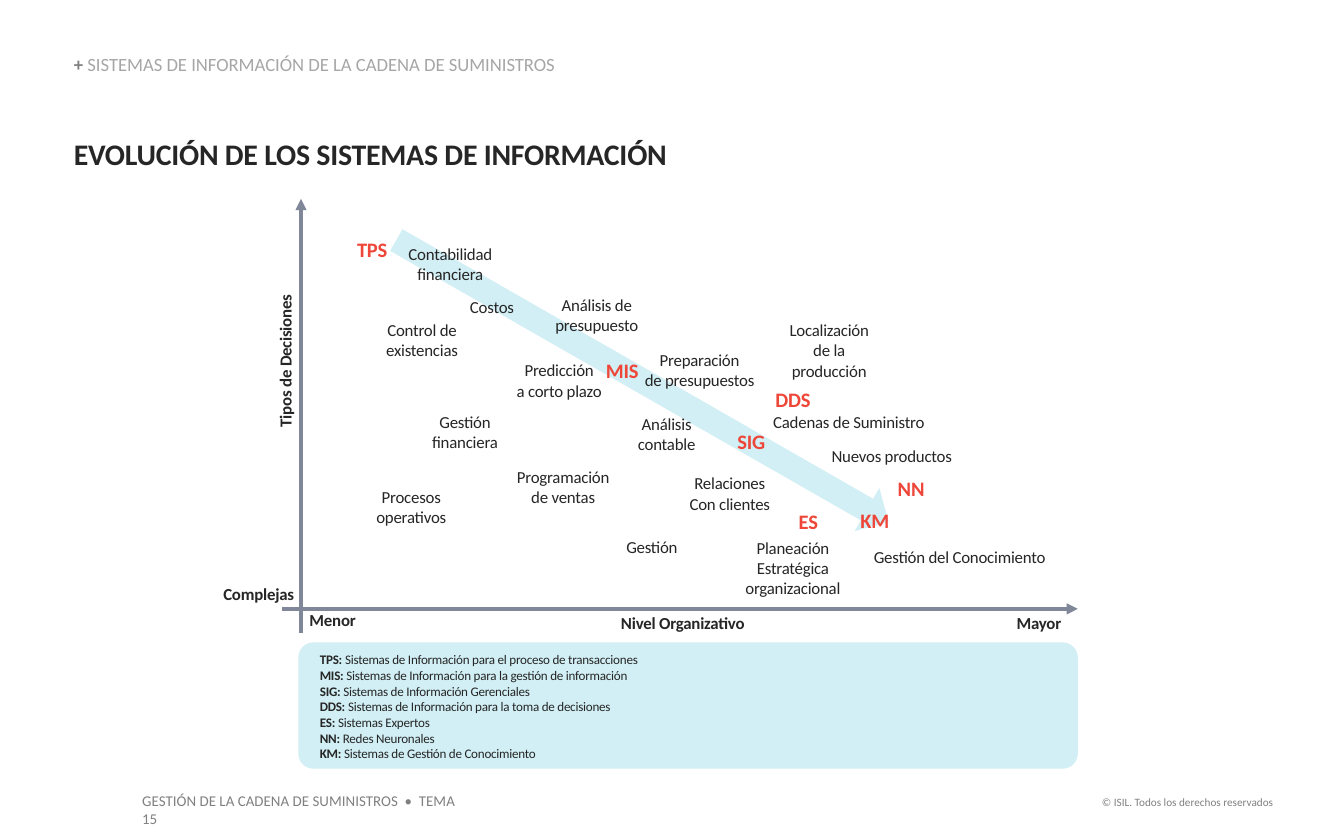
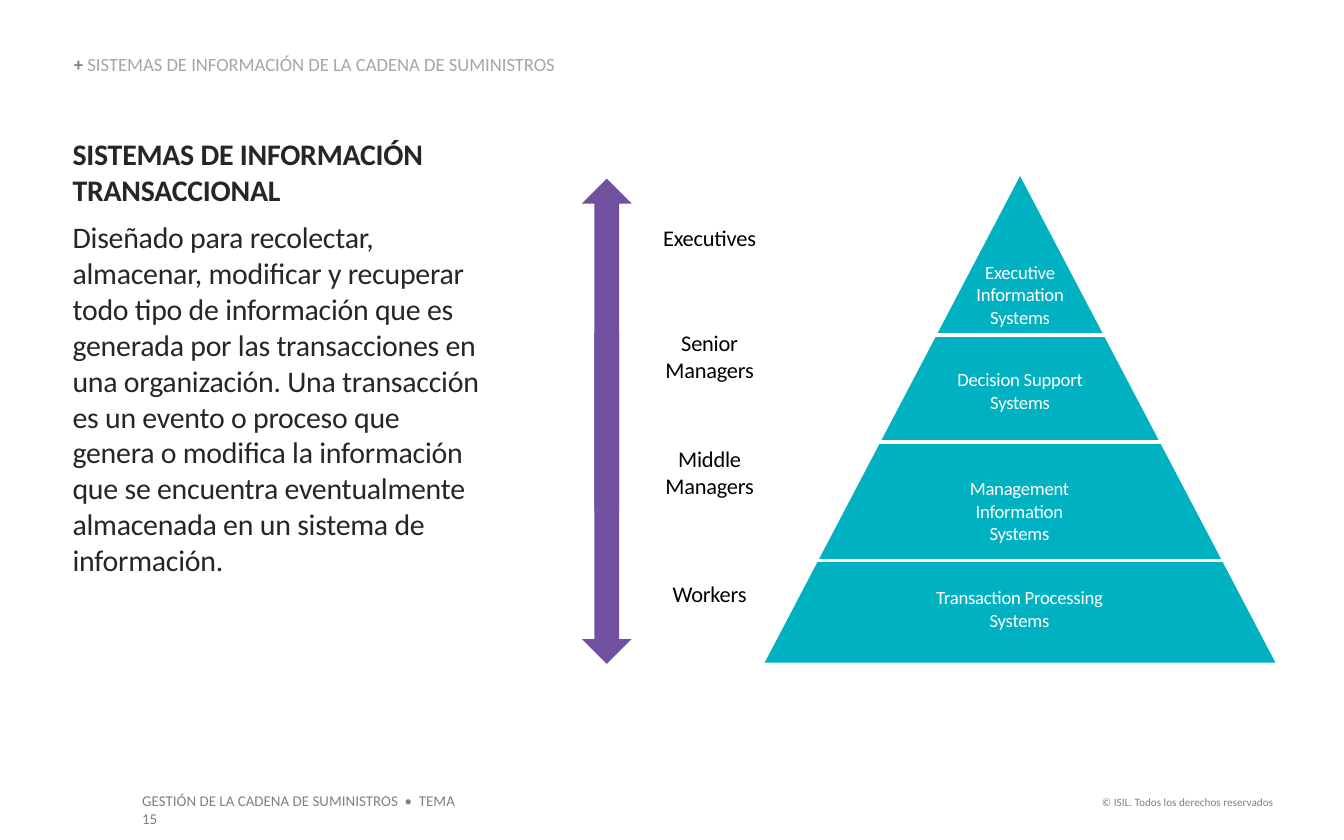
"""Build two slides on the information systems of the supply chain."""
from typing import NamedTuple, Optional

from lxml import etree
from pptx import Presentation
from pptx import util as u
from pptx.dml.color import RGBColor
from pptx.enum import shapes, text
from pptx.oxml import ns

PX = 9144
FONT = "Calibri"
INK = RGBColor(0x26, 0x26, 0x26)
GRAY = RGBColor(0x80, 0x80, 0x80)
LIGHT_GRAY = RGBColor(0xA6, 0xA6, 0xA6)
RED = RGBColor(0xEE, 0x46, 0x39)
PALE_BLUE = RGBColor(0xD1, 0xEF, 0xF4)
SLATE = RGBColor(0x80, 0x87, 0x99)
PURPLE = RGBColor(0x71, 0x50, 0xA0)
TEAL = RGBColor(0x00, 0xB1, 0xC2)
WHITE = RGBColor(0xFF, 0xFF, 0xFF)
BLACK = RGBColor(0, 0, 0)

LEFT, CENTER, RIGHT = text.PP_ALIGN.LEFT, text.PP_ALIGN.CENTER, text.PP_ALIGN.RIGHT
TOP, BOTTOM = text.MSO_ANCHOR.TOP, text.MSO_ANCHOR.BOTTOM
SHAPE = shapes.MSO_SHAPE


class Box(NamedTuple):
    x: int
    y: int
    w: int
    h: int


class Label(NamedTuple):
    text: str
    x: int
    y: int
    w: int = 82
    lines: int = 1


class Line(NamedTuple):
    x1: int
    y1: int
    x2: int
    y2: int


TASKS = [
    Label("Contabilidad\nfinanciera", 294, 181),
    Label("Control de\nexistencias", 273, 238),
    Label("Gestión\nfinanciera", 305, 306),
    Label("Procesos\noperativos", 265, 362),
    Label("Programación\nde ventas", 378, 347),
    Label("Gestión", 444, 399),
    Label("Localización\nde la\nproducción", 576, 238),
    Label("Predicción\na corto plazo", 375, 268),
    Label("Análisis de\npresupuesto", 403, 219),
    Label("Costos", 325, 221),
    Label("Análisis\ncontable", 455, 308),
    Label("Preparación\nde presupuestos", 462, 260, 117),
    Label("Cadenas de Suministro", 573, 306, 117),
    Label("Nuevos productos", 605, 332, 117),
    Label("Gestión del Conocimiento", 626, 407, 176),
    Label("Planeación\nEstratégica\norganizacional", 502, 400, 176),
    Label("Relaciones\nCon clientes", 455, 352, 176),
]
SYSTEMS = [
    Label("ES", 590, 379, 23),
    Label("KM", 634, 378, 34),
    Label("NN", 661, 354, 34),
    Label("DDS", 573, 288, 34),
    Label("SIG", 542, 319, 34),
    Label("MIS", 446, 266, 34),
    Label("TPS", 260, 176, 34),
]
AXIS_LABELS = [
    Label("Complejas", 154, 434, 77),
    Label("Menor", 209, 454, 77),
    Label("Nivel Organizativo", 446, 456, 124),
    Label("Mayor", 711, 456, 124),
]
AXES = [Line(224, 148, 224, 471), Line(802, 453, 210, 453)]
LEGEND = "\n".join([
    "TPS: |Sistemas de Información para el proceso de transacciones",
    "MIS: |Sistemas de Información para la gestión de información",
    "SIG: |Sistemas de Información Gerenciales",
    "DDS: |Sistemas de Información para la toma de decisiones",
    "ES: |Sistemas Expertos",
    "NN: |Redes Neuronales",
    "KM: |Sistemas de Gestión de Conocimiento",
])
LEVELS = [
    Label("Executive\nInformation\nSystems", 718, 194, 82, 3),
    Label("Decision Support Systems", 711, 274, 96, 2),
    Label("Management Information\nSystems", 688, 355, 141, 3),
    Label("Transaction Processing Systems", 688, 436, 141, 2),
]
ROLES = [
    Label("Executives", 487, 167),
    Label("Senior\nManagers", 487, 245),
    Label("Middle\nManagers", 487, 331),
    Label("Workers", 487, 432),
]
DIVIDERS = [Line(680, 249, 852, 249), Line(646, 329, 885, 329), Line(594, 417, 949, 417)]
DESCRIPTION = (
    "Diseñado para recolectar, almacenar, modificar y recuperar todo tipo de información "
    "que es generada por las transacciones en una organización. Una transacción es un evento "
    "o proceso que genera o modifica la información que se encuentra eventualmente "
    "almacenada en un sistema de información."
)


def emu(box) -> list:
    return [v * PX for v in box]


def write(sp, content: str, *, size: int, color: RGBColor = INK, bold: bool = False,
          align=LEFT, anchor=TOP, spacing: float = 1.0, tracking: int = -10,
          inset: tuple = (0, 0), lead_color: Optional[RGBColor] = None) -> None:
    """Fill a shape with one paragraph a line; text before a bar is a bold lead."""
    tf = sp.text_frame
    tf.word_wrap = True
    tf.auto_size = text.MSO_AUTO_SIZE.SHAPE_TO_FIT_TEXT
    tf.vertical_anchor = anchor
    tf.margin_left = tf.margin_right = inset[0] * PX
    tf.margin_top = tf.margin_bottom = inset[1] * PX
    for i, line in enumerate(content.split("\n")):
        p = tf.add_paragraph() if i else tf.paragraphs[0]
        pPr = p._p.get_or_add_pPr()
        if sp.is_placeholder:
            pPr.set("marL", "0")
            pPr.set("indent", "0")
            etree.SubElement(pPr, ns.qn("a:buNone"))
        p.alignment = align
        p.line_spacing = spacing
        p.space_before = p.space_after = u.Pt(0)
        lead, _, rest = line.rpartition("|")
        for part, strong, tint in ((lead, True, lead_color or color), (rest, bold, color)):
            if part:
                r = p.add_run()
                r.text = part
                r.font.name = FONT
                r.font.size = u.Pt(size)
                r.font.bold = strong
                r.font.color.rgb = tint
                r._r.get_or_add_rPr().set("spc", str(tracking))


def add_text(s, content: str, box: Box, **fmt):
    sp = s.shapes.add_textbox(*emu(box))
    write(sp, content, **fmt)
    return sp


def add_labels(s, labels: list, *, size: int, line_height: int, **fmt) -> None:
    for label in labels:
        lines = max(label.lines, label.text.count("\n") + 1)
        box = Box(label.x, label.y, label.w, lines * line_height)
        add_text(s, label.text, box, size=size, align=CENTER, **fmt)


def fill_placeholder(sp, content: str, box: Box, **fmt) -> None:
    sp.left, sp.top, sp.width, sp.height = emu(box)
    write(sp, content, **fmt)


def add_solid(s, kind, box: Box, color: RGBColor, rotation: float = 0):
    sp = s.shapes.add_shape(kind, *emu(box))
    sp.shadow.inherit = False
    sp.fill.solid()
    sp.fill.fore_color.rgb = color
    sp.line.fill.background()
    sp.rotation = rotation
    return sp


def add_line(s, line: Line, color: RGBColor, arrow: bool = False) -> None:
    c = s.shapes.add_connector(shapes.MSO_CONNECTOR.STRAIGHT, *emu(line))
    c.line.color.rgb = color
    c.line.width = u.Pt(2)
    if arrow:
        etree.SubElement(c.line._get_or_add_ln(), ns.qn("a:headEnd"), type="triangle")
    etree.SubElement(c._element.spPr, ns.qn("a:effectLst"))


def new_slide(prs, title: str, title_box: Box):
    s = prs.slides.add_slide(prs.slide_layouts[1])
    fill_placeholder(s.shapes.title, title, title_box, size=16, bold=True)
    add_text(s, "+ |SISTEMAS DE INFORMACIÓN DE LA CADENA DE SUMINISTROS",
             Box(55, 41, 465, 15), size=10, color=LIGHT_GRAY, lead_color=GRAY,
             anchor=BOTTOM, spacing=0.9, tracking=0)
    add_text(s, "GESTIÓN DE LA CADENA DE SUMINISTROS  •  TEMA 15", Box(96, 584, 266, 24),
             size=8, color=GRAY, tracking=0, inset=(10, 5))
    add_text(s, "© ISIL. Todos los derechos reservados", Box(788, 587, 169, 20),
             size=6, color=GRAY, align=RIGHT, tracking=0, inset=(10, 5))
    return s


def build_evolution(prs) -> None:
    s = new_slide(prs, "EVOLUCIÓN DE LOS SISTEMAS DE INFORMACIÓN", Box(55, 101, 872, 27))
    legend = s.placeholders[1]
    panel = add_solid(s, SHAPE.ROUNDED_RECTANGLE, Box(222, 478, 580, 94), PALE_BLUE)
    panel.adjustments[0] = 0.12
    legend.element.addprevious(panel.element)
    fill_placeholder(legend, LEGEND, Box(238, 485, 330, 82), size=7)
    add_solid(s, SHAPE.RIGHT_ARROW, Box(267, 265, 422, 37), PALE_BLUE, 29.8)
    add_labels(s, TASKS, size=9, line_height=15)
    add_labels(s, SYSTEMS, size=11, line_height=19, color=RED, bold=True)
    add_labels(s, AXIS_LABELS, size=9, line_height=15, bold=True)
    sp = add_text(s, "Tipos de Decisiones", Box(148, 261, 128, 15),
                  size=9, bold=True, align=CENTER)
    sp.rotation = 270
    for axis in AXES:
        add_line(s, axis, SLATE, arrow=True)


def build_pyramid(prs) -> None:
    s = new_slide(prs, "SISTEMAS DE INFORMACIÓN TRANSACCIONAL", Box(54, 101, 309, 54))
    fill_placeholder(s.placeholders[1], DESCRIPTION, Box(54, 163, 309, 270), size=16)
    for y, rotation in ((238, 270), (352, 90)):
        add_solid(s, SHAPE.RIGHT_ARROW, Box(328, y, 247, 37), PURPLE, rotation)
    add_solid(s, SHAPE.ISOSCELES_TRIANGLE, Box(569, 131, 380, 362), TEAL)
    for divider in DIVIDERS:
        add_line(s, divider, WHITE)
    add_labels(s, LEVELS, size=10, line_height=17, color=WHITE)
    add_labels(s, ROLES, size=12, line_height=20, color=BLACK)


def main() -> None:
    prs = Presentation()
    prs.slide_width, prs.slide_height = emu((1000, 625))
    build_evolution(prs)
    build_pyramid(prs)
    prs.save("out.pptx")


if __name__ == "__main__":
    main()
